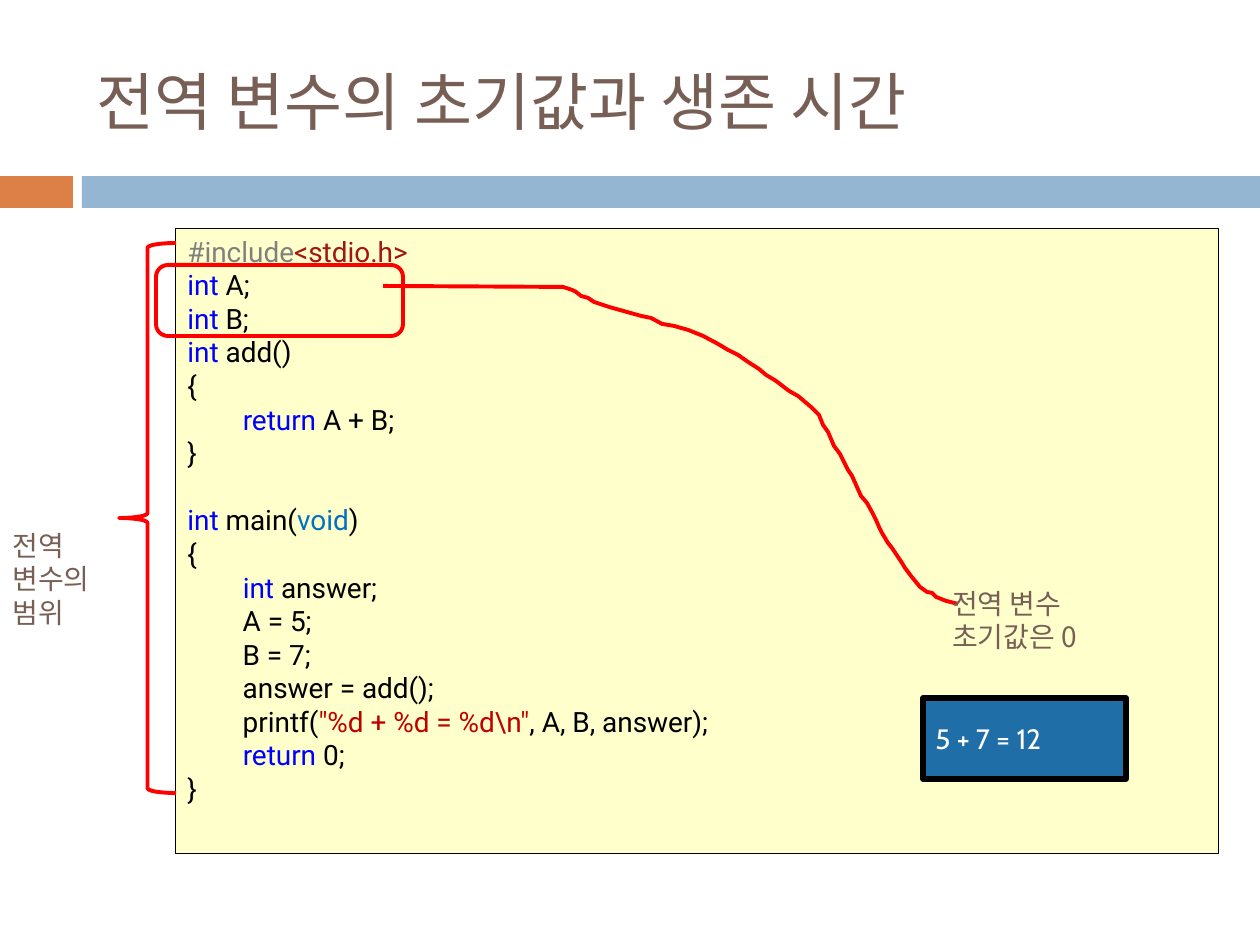
"""Build a slide on the initial value and lifetime of C global variables."""
from lxml.etree import SubElement
from pptx import Presentation
from pptx.dml.color import RGBColor
from pptx.enum.shapes import MSO_SHAPE
from pptx.enum.text import MSO_ANCHOR, MSO_AUTO_SIZE, PP_ALIGN
from pptx.oxml.ns import qn
from pptx.util import Emu, Pt

PX = 914400 / 126
LATIN, KOREAN, CODE_FONT = "Cabin", "Noto Sans CJK KR", "Roboto"

BROWN = RGBColor(0x77, 0x5F, 0x55)
ORANGE = RGBColor(0xDD, 0x80, 0x47)
SKY = RGBColor(0x94, 0xB6, 0xD2)
CREAM = RGBColor(0xFF, 0xFF, 0xCC)
BLUE = RGBColor(0x1F, 0x6E, 0xA7)
RED = RGBColor(0xFF, 0x00, 0x00)
WHITE = RGBColor(0xFF, 0xFF, 0xFF)
BLACK = RGBColor(0x00, 0x00, 0x00)
DIRECTIVE = RGBColor(0x80, 0x80, 0x80)
HEADER = RGBColor(0xA3, 0x15, 0x15)
KEYWORD = RGBColor(0x00, 0x00, 0xFF)
VOID = RGBColor(0x00, 0x70, 0xC0)
STRING = RGBColor(0xC0, 0x00, 0x00)

TITLE = "전역 변수의 초기값과 생존 시간"
INT = ("int", KEYWORD)
RETURN = ("return", KEYWORD)
INDENT = ("        ", BLACK)
CODE = [
    [("#include", DIRECTIVE), ("<stdio.h>", HEADER)],
    [INT, (" A;", BLACK)],
    [INT, (" B;", BLACK)],
    [INT, (" add()", BLACK)],
    [("{", BLACK)],
    [INDENT, RETURN, (" A + B;", BLACK)],
    [("}", BLACK)],
    [],
    [INT, (" main(", BLACK), ("void", VOID), (")", BLACK)],
    [("{", BLACK)],
    [INDENT, INT, (" answer;", BLACK)],
    [("        A = 5;", BLACK)],
    [("        B = 7;", BLACK)],
    [("        answer = add();", BLACK)],
    [("        printf(", BLACK), ('"%d + %d = %d\\n"', STRING), (", A, B, answer);", BLACK)],
    [INDENT, RETURN, (" 0;", BLACK)],
    [("}", BLACK)],
]
SCOPE = [[("전역 변수의 범위", BROWN)]]
INITIAL = [[("전역 변수", BROWN)], [("초기값은 0", BROWN)]]
OUTPUT = [[("5 + 7 = 12", WHITE)]]

CURVE = [
    (383, 286), (563, 287), (572, 290), (576, 292), (581, 296), (588, 298),
    (594, 302), (609, 307), (641, 316), (651, 318), (662, 324), (674, 326),
    (688, 330), (703, 336), (718, 344), (728, 350), (738, 355), (748, 362),
    (759, 369), (766, 375), (776, 381), (789, 391), (798, 396), (811, 407),
    (819, 415), (823, 425), (828, 432), (834, 446), (840, 454), (848, 470),
    (852, 476), (861, 496), (867, 503), (873, 514), (876, 520), (879, 527),
    (882, 533), (888, 543), (892, 548), (902, 563), (905, 568), (911, 576),
    (920, 587), (927, 592), (932, 593), (936, 597), (946, 601), (958, 604),
]


def px(*values):
    return [Emu(round(v * PX)) for v in values]


def add_run(p, text, size, font, color):
    r = p.add_run()
    r.text = text
    r.font.size = Pt(size)
    r.font.color.rgb = color
    r.font.name = font
    SubElement(r.font._element, qn("a:ea"), typeface=KOREAN)


def write(tf, lines, font, size=16, anchor=MSO_ANCHOR.TOP):
    tf.word_wrap = True
    tf.vertical_anchor = anchor
    for i, line in enumerate(lines):
        p = tf.add_paragraph() if i else tf.paragraphs[0]
        p.alignment = PP_ALIGN.LEFT
        for text, color in line:
            add_run(p, text, size, font, color)
        if not line:
            end = SubElement(p._p, qn("a:endParaRPr"), sz=str(size * 100))
            SubElement(end, qn("a:latin"), typeface=font)


def style(sp, fill=None, line=None, weight=2.25):
    sp.shadow.inherit = False
    if fill is None:
        sp.fill.background()
    else:
        sp.fill.solid()
        sp.fill.fore_color.rgb = fill
    if line is None:
        sp.line.fill.background()
    else:
        sp.line.color.rgb = line
        sp.line.width = Pt(weight)
    return sp


def add_shape(s, kind, box, *look):
    return style(s.shapes.add_shape(kind, *px(*box)), *look)


def add_label(s, box, lines):
    tf = s.shapes.add_textbox(*px(*box)).text_frame
    write(tf, lines, KOREAN)
    tf.auto_size = MSO_AUTO_SIZE.SHAPE_TO_FIT_TEXT


def main():
    prs = Presentation()
    prs.slide_width, prs.slide_height = px(1260, 945)
    s = prs.slides.add_slide(prs.slide_layouts[5])

    title = s.shapes.title
    title.left, title.top, title.width, title.height = px(84, 32, 1124, 136)
    write(title.text_frame, [[(TITLE, BROWN)]], LATIN, 36, MSO_ANCHOR.MIDDLE)

    add_shape(s, MSO_SHAPE.RECTANGLE, (0, 176, 73, 32), ORANGE)
    add_shape(s, MSO_SHAPE.RECTANGLE, (82, 176, 1178, 32), SKY)

    code = add_shape(s, MSO_SHAPE.RECTANGLE, (175, 228, 1043, 625), CREAM, BLACK, 0.25)
    write(code.text_frame, CODE, CODE_FONT)

    add_shape(s, MSO_SHAPE.LEFT_BRACE, (119, 243, 57, 550), None, RED)
    add_label(s, (0, 522, 131, 115), SCOPE)
    add_shape(s, MSO_SHAPE.ROUNDED_RECTANGLE, (156, 265, 247, 71), None, RED)

    builder = s.shapes.build_freeform(*CURVE[0], scale=PX)
    builder.add_line_segments(CURVE[1:], close=False)
    style(builder.convert_to_shape(), None, RED)

    add_label(s, (940, 580, 278, 81), INITIAL)
    output = add_shape(s, MSO_SHAPE.RECTANGLE, (923, 698, 203, 81), BLUE, BLACK, 3)
    write(output.text_frame, OUTPUT, LATIN, anchor=MSO_ANCHOR.MIDDLE)

    prs.save("out.pptx")


if __name__ == "__main__":
    main()
